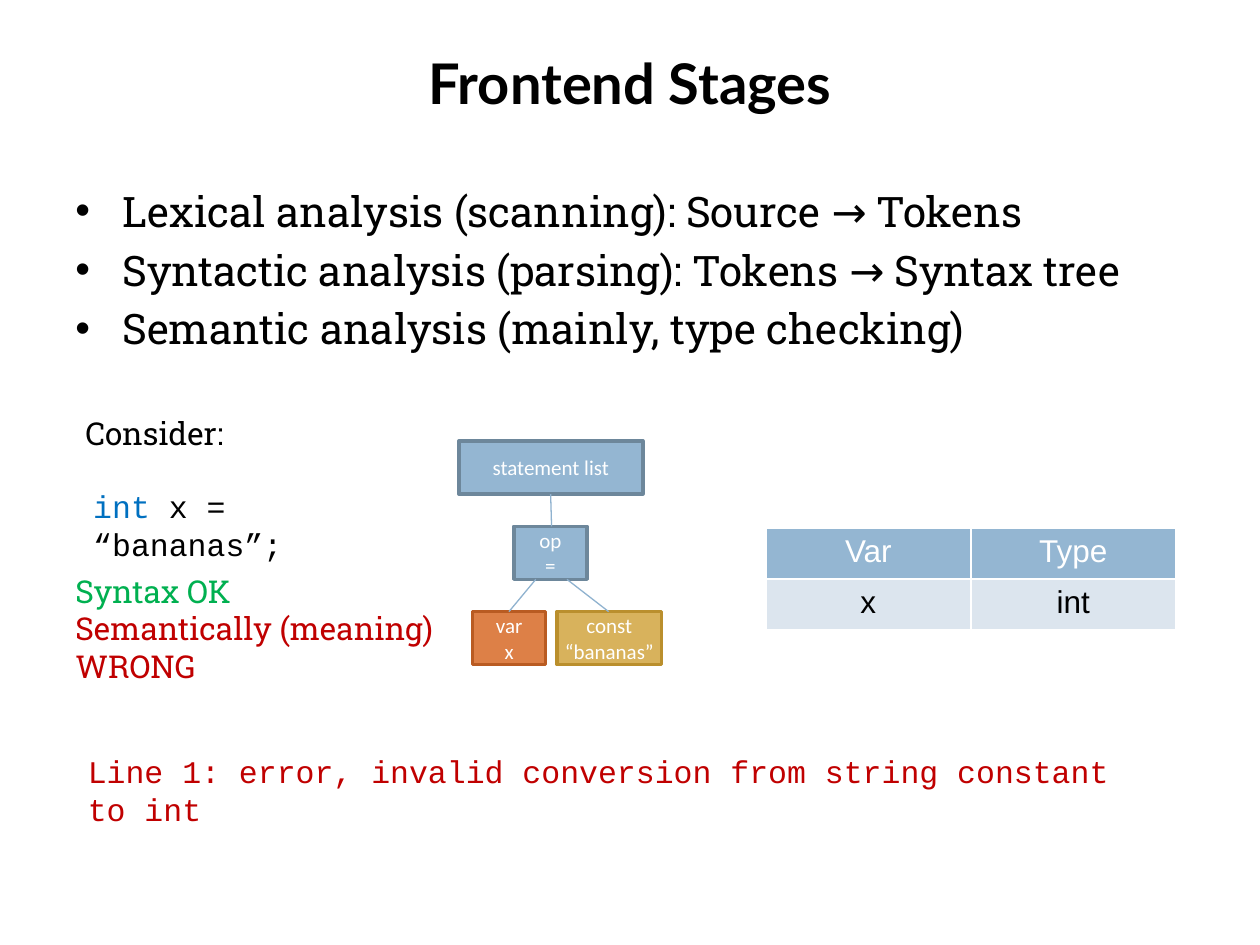
from lxml.etree import SubElement
from pptx import Presentation
from pptx.dml.color import RGBColor
from pptx.enum.shapes import MSO_CONNECTOR, MSO_SHAPE
from pptx.enum.text import MSO_ANCHOR, MSO_AUTO_SIZE, PP_ALIGN
from pptx.oxml.ns import qn
from pptx.util import Cm, Pt

COLORS = {
    "black": "000000", "white": "FFFFFF", "keyword": "0070C0",
    "good": "00B050", "bad": "C00000", "blue": "94B6D2",
    "blue_edge": "6D879B", "orange": "DD8047", "orange_edge": "B95B22",
    "gold": "D8B25C", "gold_edge": "BA8F2D", "branch": "8FB2CF",
    "pale": "DCE5EE",
}
FORMATS = {
    "title": {"name": "Lato", "size": Pt(32), "bold": True},
    "bullet": {"name": "Roboto Slab", "size": Pt(24)},
    "note": {"name": "Roboto Slab", "size": Pt(18)},
    "code": {"name": "Courier New", "size": Pt(18)},
    "node": {"name": "Calibri", "size": Pt(12)},
    "cell": {"name": "Arial", "size": Pt(18)},
}
NODE_HEIGHT = 1.07
LEVELS = [8.89 + 1.72 * level for level in range(3)]


def color(name):
    return RGBColor.from_string(COLORS[name])


class SlideBuilder:
    def __init__(self, page):
        self.page = page

    def fill_text(self, frame, lines, style, align=PP_ALIGN.LEFT):
        for index, line in enumerate(lines):
            para = frame.paragraphs[0] if index == 0 else frame.add_paragraph()
            para.alignment = align
            for words, shade in line:
                span = para.add_run()
                span.text = words
                for key, value in FORMATS[style].items():
                    setattr(span.font, key, value)
                span.font.color.rgb = color(shade)

    def text(self, place, lines, style, align=PP_ALIGN.LEFT,
             anchor=MSO_ANCHOR.TOP, fit=MSO_AUTO_SIZE.NONE):
        box = self.page.shapes.add_textbox(*map(Cm, place))
        settings = {"word_wrap": True, "vertical_anchor": anchor, "auto_size": fit}
        for key, value in settings.items():
            setattr(box.text_frame, key, value)
        self.fill_text(box.text_frame, lines, style, align)
        return box

    def note(self, place, lines, style="note"):
        return self.text(place, lines, style, fit=MSO_AUTO_SIZE.SHAPE_TO_FIT_TEXT)

    def bullets(self, place, items):
        box = self.text(place, [[(item, "black")] for item in items], "bullet")
        for index, para in enumerate(box.text_frame.paragraphs):
            properties = para._p.get_or_add_pPr()
            properties.set("marL", str(Cm(0.95)))
            properties.set("indent", str(Cm(-0.95)))
            SubElement(properties, qn("a:buFont"), typeface="Arial")
            SubElement(properties, qn("a:buChar"), char="•")
            if index:
                para.space_before = Pt(4.8)

    def node(self, left, level, width, labels, fill):
        shape = self.page.shapes.add_shape(
            MSO_SHAPE.RECTANGLE, Cm(left), Cm(LEVELS[level]), Cm(width), Cm(NODE_HEIGHT))
        shape.shadow.inherit = False
        shape.fill.solid()
        shape.fill.fore_color.rgb = color(fill)
        shape.line.color.rgb = color(fill + "_edge")
        shape.line.width = Pt(2)
        frame = shape.text_frame
        settings = {"margin_left": 0, "margin_right": 0, "margin_top": 0,
                    "margin_bottom": 0, "word_wrap": True,
                    "vertical_anchor": MSO_ANCHOR.MIDDLE}
        for key, value in settings.items():
            setattr(frame, key, value)
        self.fill_text(frame, [[(label, "white")] for label in labels], "node", PP_ALIGN.CENTER)

    def branch(self, child_x, child_level, parent_x):
        line = self.page.shapes.add_connector(
            MSO_CONNECTOR.STRAIGHT, Cm(child_x), Cm(LEVELS[child_level]),
            Cm(parent_x), Cm(LEVELS[child_level - 1] + NODE_HEIGHT))
        line.line.color.rgb = color("branch")
        line.line.width = Pt(0.75)
        SubElement(line._element.spPr, qn("a:effectLst"))

    def border(self, cell):
        properties = cell._tc.get_or_add_tcPr()
        for index, side in enumerate(("a:lnL", "a:lnR", "a:lnT", "a:lnB")):
            edge = properties.makeelement(qn(side), {"w": str(Pt(1))})
            fill = SubElement(edge, qn("a:solidFill"))
            SubElement(fill, qn("a:srgbClr"), val=COLORS["white"])
            properties.insert(index, edge)

    def table(self, place, rows):
        grid = self.page.shapes.add_table(len(rows), len(rows[0]), *map(Cm, place)).table
        for row, words in enumerate(rows):
            fill, shade = ("pale", "black") if row else ("blue", "white")
            for column, word in enumerate(words):
                cell = grid.cell(row, column)
                cell.fill.solid()
                cell.fill.fore_color.rgb = color(fill)
                self.fill_text(cell.text_frame, [[(word, shade)]], "cell", PP_ALIGN.CENTER)
                self.border(cell)


def main():
    deck = Presentation()
    deck.slide_width, deck.slide_height = Cm(25.4), Cm(19.05)
    builder = SlideBuilder(deck.slides.add_slide(deck.slide_layouts[6]))

    builder.text((1.27, 0.76, 22.86, 1.78), [[("Frontend Stages", "black")]],
                 "title", PP_ALIGN.CENTER, MSO_ANCHOR.MIDDLE)
    builder.bullets((1.27, 3.61, 23.93, 6.15), [
        "Lexical analysis (scanning): Source → Tokens",
        "Syntactic analysis (parsing): Tokens → Syntax tree",
        "Semantic analysis (mainly, type checking)",
    ])
    builder.note((1.63, 9.7, 6.83, 1.02),
                 [[("int", "keyword"), (" x = “bananas”;", "black")]], "code")

    builder.node(10.36, 1, 1.47, ["op", "="], "blue")
    builder.node(9.53, 2, 1.47, ["var", "x"], "orange")
    builder.node(11.23, 2, 2.11, ["const", "“bananas”"], "gold")
    builder.branch(10.26, 2, 10.8)
    builder.branch(12.27, 2, 11.43)
    builder.node(9.25, 0, 3.71, ["statement list"], "blue")
    builder.branch(11.12, 1, 11.1)

    builder.table((15.44, 10.64, 8.26, 2.06), [["Var", "Type"], ["x", "int"]])
    builder.note((1.52, 15.04, 21.97, 1.02), [[(
        "Line 1: error, invalid conversion from string constant to int", "bad")]], "code")
    builder.note((1.27, 11.4, 7.82, 2.57), [
        [("Syntax OK", "good")],
        [("Semantically (meaning)", "bad")],
        [("WRONG", "bad")],
    ])
    builder.note((1.47, 8.23, 3.51, 1.02), [[("Consider:", "black")]])
    deck.save("out.pptx")


if __name__ == "__main__":
    main()
